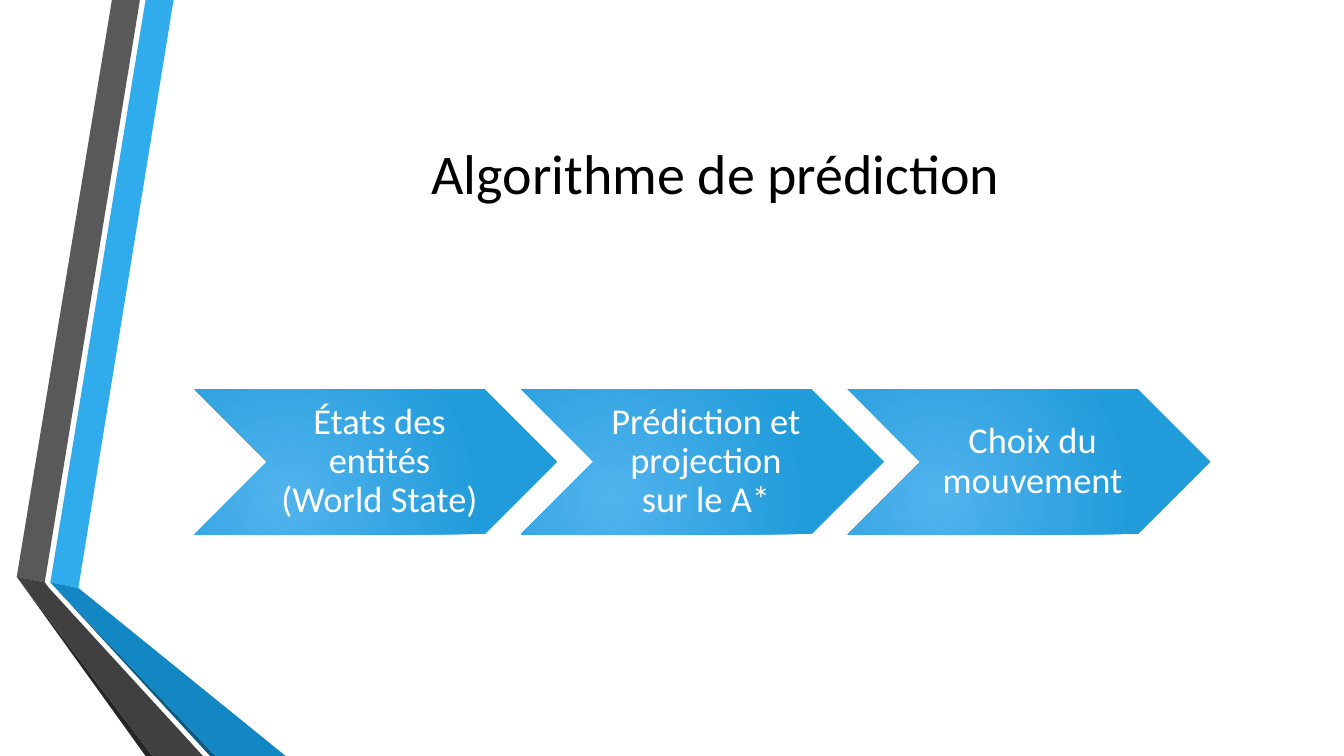
from dataclasses import dataclass

from lxml import etree
from pptx import Presentation
from pptx.dml.color import RGBColor
from pptx.enum.shapes import MSO_SHAPE
from pptx.enum.text import MSO_ANCHOR, MSO_AUTO_SIZE, PP_ALIGN
from pptx.oxml.ns import qn
from pptx.util import Pt


@dataclass(frozen=True)
class Theme:
    font: str = "Calibri"
    title_size: int = 40
    step_size: int = 26
    title_color: str = "000000"
    step_color: str = "FFFFFF"
    step_glow: str = "51B3ED"
    step_edge: str = "219CDB"
    blue: str = "30ACEC"
    blue_fold: str = "1287C3"
    blue_shade: str = "0C5A82"
    gray: str = "595959"
    gray_fold: str = "404040"
    gray_shade: str = "262626"


THEME = Theme()

# Ribbon outlines in points, from back to front
RIBBONS = [
    (THEME.blue, [(36, 416.2), (55.5, 419.8), (124.5, 0), (104.5, 0)]),
    (THEME.gray, [(100, 0), (80, 0), (11.5, 412.5), (31.5, 415.5)]),
    (THEME.gray_shade, [(11.5, 412.5), (104.4, 540), (108.7, 540)]),
    (THEME.blue_shade, [(36, 416.5), (149.8, 540), (154, 540)]),
    (THEME.blue_fold, [(36, 416.2), (154, 540), (203.8, 540), (55.5, 419.8)]),
    (THEME.gray_fold, [(145.4, 540), (34.6, 419.8), (31.5, 415.5),
                       (11.5, 412.5), (108.7, 540)]),
]

STEPS = [
    "États des entités (World State)",
    "Prédiction et projection sur le A*",
    "Choix du mouvement",
]
STEP_LEFT, STEP_TOP = 139, 278
STEP_WIDTH, STEP_HEIGHT = 259.2, 103.7
STEP_PITCH = 0.9 * STEP_WIDTH


def rgb(color):
    return RGBColor.from_string(color)


def style_paragraph(p, size, color):
    p.alignment = PP_ALIGN.CENTER
    p.font.name = THEME.font
    p.font.size = Pt(size)
    p.font.color.rgb = rgb(color)


def set_title(slide, text):
    sp = slide.shapes.title
    sp.left, sp.top, sp.width, sp.height = Pt(116.6), Pt(54), Pt(789), Pt(138)
    tf = sp.text_frame
    tf.text = text
    tf.word_wrap = True
    tf.auto_size = MSO_AUTO_SIZE.NONE
    tf.vertical_anchor = MSO_ANCHOR.MIDDLE
    style_paragraph(tf.paragraphs[0], THEME.title_size, THEME.title_color)


def add_ribbon(slide, color, points):
    builder = slide.shapes.build_freeform(*points[0], scale=Pt(1))
    builder.add_line_segments(points[1:], close=True)
    sp = builder.convert_to_shape()
    sp.shadow.inherit = False
    sp.fill.solid()
    sp.fill.fore_color.rgb = rgb(color)
    sp.line.fill.background()


def fill_radial(sp, inner, outer):
    """Fill the shape with a circular gradient centred near its lower edge."""
    sp.fill.gradient()
    for stop, color in zip(sp.fill.gradient_stops, (inner, outer)):
        stop.color.rgb = rgb(color)
    grad = sp._element.spPr.find(qn("a:gradFill"))
    grad.remove(grad.find(qn("a:lin")))
    circle = etree.SubElement(grad, qn("a:path"), path="circle")
    etree.SubElement(circle, qn("a:fillToRect"),
                     l="50000", t="100000", r="100000", b="50000")


def add_step(slide, left, text):
    sp = slide.shapes.add_shape(MSO_SHAPE.CHEVRON, Pt(left), Pt(STEP_TOP),
                                Pt(STEP_WIDTH), Pt(STEP_HEIGHT))
    sp.shadow.inherit = False
    sp.line.fill.background()
    fill_radial(sp, THEME.step_glow, THEME.step_edge)
    tf = sp.text_frame
    tf.text = text
    tf.word_wrap = True
    tf.vertical_anchor = MSO_ANCHOR.MIDDLE
    tf.margin_left = Pt(8)
    tf.margin_top = tf.margin_right = tf.margin_bottom = Pt(3)
    p = tf.paragraphs[0]
    p.line_spacing = 0.9
    style_paragraph(p, THEME.step_size, THEME.step_color)


def main():
    prs = Presentation()
    prs.slide_width, prs.slide_height = Pt(960), Pt(540)
    slide = prs.slides.add_slide(prs.slide_layouts.get_by_name("Title Only"))
    for color, points in RIBBONS:
        add_ribbon(slide, color, points)
    set_title(slide, "Algorithme de prédiction")
    for i, text in enumerate(STEPS):
        add_step(slide, STEP_LEFT + i * STEP_PITCH, text)
    prs.save("out.pptx")


if __name__ == "__main__":
    main()
